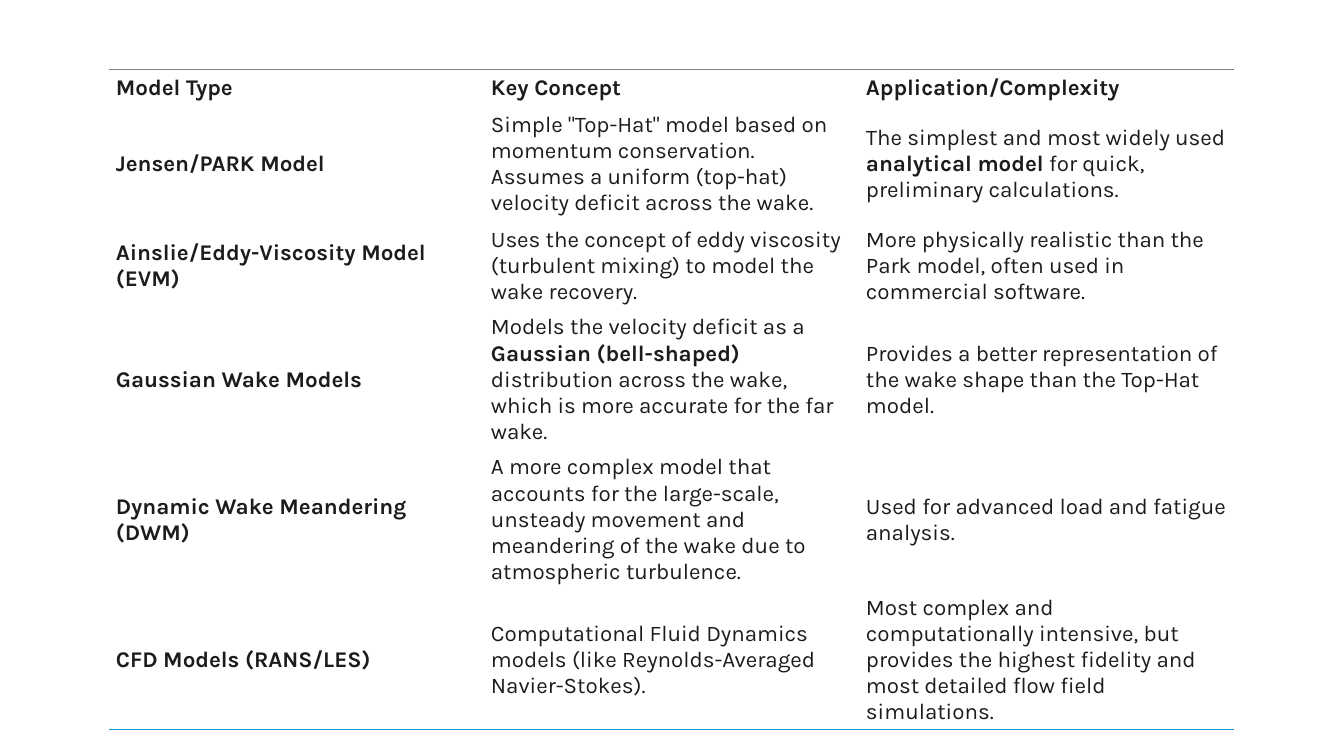
import pptx
import pptx.util
import pptx.dml.color
import pptx.enum.text
import pptx.oxml.ns
import lxml.etree

Inches = pptx.util.Inches
qn = pptx.oxml.ns.qn


def add_text(p, text, size=16, bold=False, color="1B1C1D", font="Karla"):
    for i, part in enumerate(text.split("**")):
        if part:
            r = p.add_run()
            r.text = part
            r.font.size = pptx.util.Pt(size)
            r.font.name = font
            r.font.bold = bold or i % 2 == 1
            r.font.color.rgb = pptx.dml.color.RGBColor.from_string(color)


def add_border(cell, side, color):
    ln = lxml.etree.SubElement(cell._tc.get_or_add_tcPr(), qn("a:" + side), w="12700")
    fill = lxml.etree.SubElement(ln, qn("a:solidFill"))
    lxml.etree.SubElement(fill, qn("a:srgbClr"), val=color)


rows = [
    ("Model Type", "Key Concept", "Application/Complexity"),
    ("Jensen/PARK Model",
     'Simple "Top-Hat" model based on momentum conservation. '
     "Assumes a uniform (top-hat) velocity deficit across the wake.",
     "The simplest and most widely used **analytical model** for quick, "
     "preliminary calculations."),
    ("Ainslie/Eddy-Viscosity Model (EVM)",
     "Uses the concept of eddy viscosity (turbulent mixing) to model the wake recovery.",
     "More physically realistic than the Park model, often used in commercial software."),
    ("Gaussian Wake Models",
     "Models the velocity deficit as a **Gaussian (bell-shaped)** distribution "
     "across the wake, which is more accurate for the far wake.",
     "Provides a better representation of the wake shape than the Top-Hat model."),
    ("Dynamic Wake Meandering (DWM)",
     "A more complex model that accounts for the large-scale, unsteady movement "
     "and meandering of the wake due to atmospheric turbulence.",
     "Used for advanced load and fatigue analysis."),
    ("CFD Models (RANS/LES)",
     "Computational Fluid Dynamics models (like Reynolds-Averaged Navier-Stokes).",
     "Most complex and computationally intensive, but provides the highest "
     "fidelity and most detailed flow field simulations."),
]
heights = [0.37, 1.14, 0.88, 1.14, 1.4, 1.14]

prs = pptx.Presentation()
prs.slide_width = Inches(13.33)
prs.slide_height = Inches(7.5)
slide = prs.slides.add_slide(prs.slide_layouts[6])

table = slide.shapes.add_table(
    len(rows), 3, Inches(1.08), Inches(0.69), Inches(11.16), Inches(sum(heights))).table
table.horz_banding = False
table.first_row = False
style = table._tbl.tblPr.find(qn("a:tableStyleId"))
style.text = "{2D5ABB26-0587-4C30-8999-92F81FD0307C}"

for row, (texts, height) in enumerate(zip(rows, heights)):
    table.rows[row].height = Inches(height)
    for col, text in enumerate(texts):
        cell = table.cell(row, col)
        cell.margin_left = cell.margin_right = Inches(0.07)
        cell.margin_top = cell.margin_bottom = Inches(0.04)
        cell.vertical_anchor = pptx.enum.text.MSO_ANCHOR.MIDDLE
        if row == 0:
            add_border(cell, "lnT", "7F7F7F")
        if row == len(rows) - 1:
            add_border(cell, "lnB", "0F9ED5")
        cell.fill.background()
        add_text(cell.text_frame.paragraphs[0], text, bold=row == 0 or col == 0)

prs.save("out.pptx")
